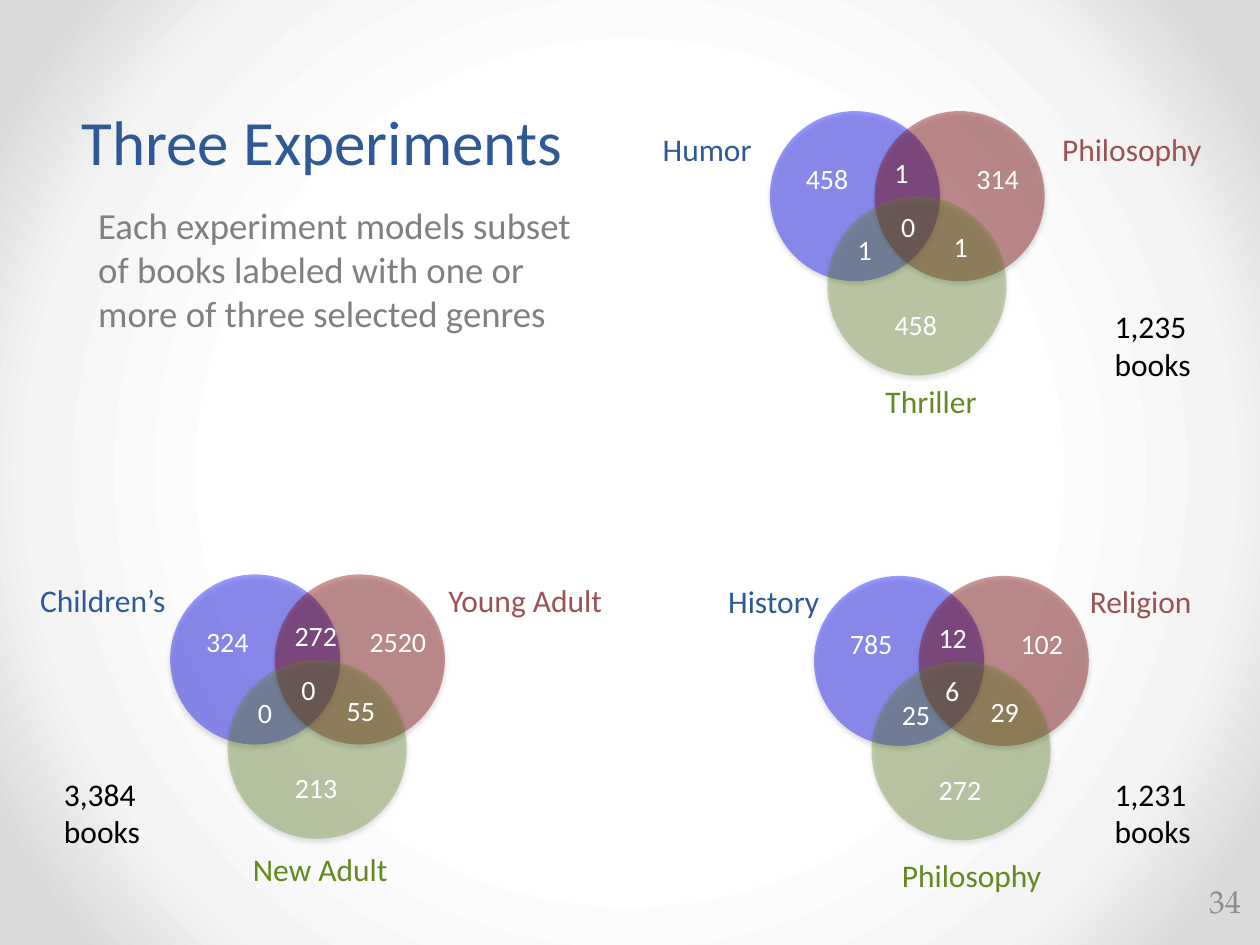
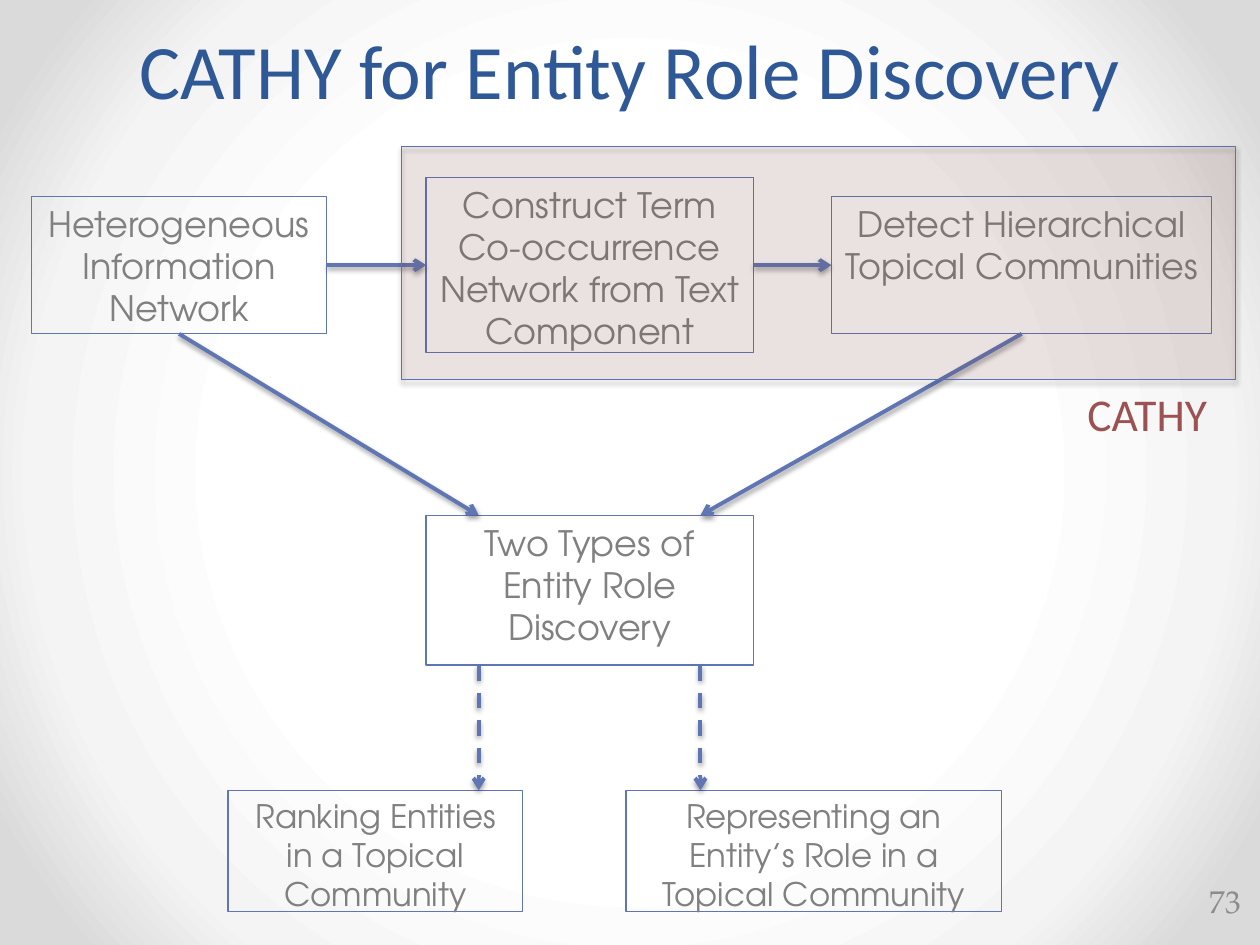
from dataclasses import dataclass

from lxml import etree
from pptx import Presentation
from pptx.dml.color import RGBColor
from pptx.enum.dml import MSO_LINE_DASH_STYLE as DASH
from pptx.enum.shapes import MSO_CONNECTOR, MSO_SHAPE
from pptx.enum.text import MSO_ANCHOR as ANCHOR
from pptx.enum.text import MSO_AUTO_SIZE as AUTO
from pptx.enum.text import PP_ALIGN as ALIGN
from pptx.oxml import parse_xml
from pptx.oxml.ns import nsdecls, qn
from pptx.util import Cm, Pt


@dataclass(frozen=True)
class Theme:
    blue: str = "2F5897"
    red: str = "9C5252"
    green: str = "63891F"
    gray: str = "808080"
    number_gray: str = "8C8C8C"
    white: str = "FFFFFF"
    black: str = "000000"
    outline: str = "6076B4"
    panel_outline: str = "5C72B2"
    venn_blue: str = "0000FF"
    venn_red: str = "800000"
    backdrop: tuple = ((50, "FFFFFF"), (76, "F4F4F4"), (92, "DADADA"))
    sans: str = "Calibri"
    box_font: str = "TeX Gyre Adventor"
    number_font: str = "TeX Gyre Pagella"
    title_size: float = 44
    small_title_size: float = 36
    title_leading: float = 58
    caption_size: float = 26
    body_size: float = 21
    box_size: float = 20
    small_box_size: float = 18.5
    label_size: float = 18
    count_size: float = 16


T = Theme()

CIRCLE, BOTTOM_CIRCLE = 3.43, 3.61
# Offset from the diagram's corner, and the share of the text box left of it
COUNT_SPOTS = {
    "left": (1.16, 1.36, 0.5),
    "right": (4.6, 1.36, 0.5),
    "bottom": (2.95, 4.3, 0.5),
    "left_bottom": (1.52, 2.79, 0),
    "left_right": (2.26, 1.24, 0),
    "right_bottom": (3.85, 2.74, 0.5),
    "all": (2.79, 2.32, 0.5),
}


def cms(*values):
    return [Cm(v) for v in values]


def rgb(color):
    return RGBColor.from_string(color)


def style_text(tf, text, size, color, font=T.sans, align=None):
    tf.text = text
    p = tf.paragraphs[0]
    p.alignment = align
    r = p.runs[0]
    r.font.size = Pt(size)
    r.font.name = font
    r.font.color.rgb = rgb(color)
    return p


def add_text(slide, text, box, size, color, wrap=True, **style):
    tf = slide.shapes.add_textbox(*cms(*box)).text_frame
    tf.word_wrap = wrap
    tf.auto_size = AUTO.SHAPE_TO_FIT_TEXT
    style_text(tf, text, size, color, **style)
    return tf


def add_shadow(sp, alpha, distance):
    """Give a shape or connector a soft shadow straight below it."""
    spPr = sp._element.spPr
    for old in spPr.findall(qn("a:effectLst")):
        spPr.remove(old)
    spPr.append(parse_xml(
        f'<a:effectLst {nsdecls("a")}>'
        f'<a:outerShdw blurRad="{Pt(3.1)}" dist="{Pt(distance)}" '
        f'dir="5400000" rotWithShape="0"><a:srgbClr val="{T.black}">'
        f'<a:alpha val="{alpha * 1000}"/></a:srgbClr>'
        '</a:outerShdw></a:effectLst>'))


def add_tinted(slide, kind, box, color, opacity):
    """Add a translucent shape with a shadow and no outline."""
    sp = slide.shapes.add_shape(kind, *cms(*box))
    sp.fill.solid()
    sp.fill.fore_color.rgb = rgb(color)
    clr = sp._element.spPr.find(".//" + qn("a:srgbClr"))
    etree.SubElement(clr, qn("a:alpha"), val=str(opacity * 1000))
    sp.line.fill.background()
    add_shadow(sp, 35, 1.8)
    return sp


def set_backdrop(master):
    master.background.fill.solid()
    bgPr = master._element.find(".//" + qn("p:bgPr"))
    stops = "".join(
        f'<a:gs pos="{pos * 1000}"><a:srgbClr val="{color}"/></a:gs>'
        for pos, color in T.backdrop)
    gradient = parse_xml(
        f'<a:gradFill {nsdecls("a")} rotWithShape="1"><a:gsLst>{stops}</a:gsLst>'
        '<a:path path="circle"><a:fillToRect l="50000" t="50000" r="50000" '
        'b="50000"/></a:path></a:gradFill>')
    bgPr.replace(bgPr[0], gradient)


def add_slide(prs, title, title_box, title_size, number):
    slide = prs.slides.add_slide(prs.slide_layouts[5])
    sp = slide.shapes.title
    sp.left, sp.top, sp.width, sp.height = cms(*title_box)
    tf = sp.text_frame
    tf.vertical_anchor = ANCHOR.BOTTOM
    tf.auto_size = AUTO.NONE
    p = style_text(tf, title, title_size, T.blue, align=ALIGN.CENTER)
    p.line_spacing = Pt(T.title_leading)
    tf = add_text(slide, number, (23.72, 17.65, 1.55, 1.02), T.label_size,
                  T.number_gray, font=T.number_font, align=ALIGN.RIGHT)
    tf.auto_size = AUTO.NONE
    tf.vertical_anchor = ANCHOR.MIDDLE
    return slide


def add_venn(slide, x, y, counts):
    circles = ((0, 0, CIRCLE, T.venn_blue, 39),
               (2.11, 0, CIRCLE, T.venn_red, 39),
               (1.16, 1.72, BOTTOM_CIRCLE, T.green, 33))
    for dx, dy, size, color, opacity in circles:
        add_tinted(slide, MSO_SHAPE.OVAL, (x + dx, y + dy, size, size),
                   color, opacity)
    height = 0.94
    for region, count in counts.items():
        dx, dy, share = COUNT_SPOTS[region]
        width = 0.5 + 0.29 * len(count)
        box = (x + dx - share * width, y + dy - height / 2, width, height)
        add_text(slide, count, box, T.count_size, T.white, wrap=False)


def add_genre_labels(slide, labels):
    for color, (text, x, y, width) in zip((T.blue, T.red, T.green), labels):
        add_text(slide, text, (x, y, width, 1.02), T.label_size, color)


def add_box(slide, text, box, size=T.box_size):
    sp = slide.shapes.add_shape(MSO_SHAPE.RECTANGLE, *cms(*box))
    sp.shadow.inherit = False
    sp.fill.background()
    sp.line.color.rgb = rgb(T.outline)
    sp.line.width = Pt(0.75)
    tf = sp.text_frame
    tf.word_wrap = True
    tf.vertical_anchor = ANCHOR.TOP
    p = style_text(tf, text, size, T.gray, T.box_font, ALIGN.CENTER)
    p.space_after = Pt(6)
    return sp


def add_arrow(slide, start=(0, 0), end=(0, 0), source=None, target=None,
              dashed=False):
    """Draw an arrow; source and target are (shape, side) joins."""
    line = slide.shapes.add_connector(MSO_CONNECTOR.STRAIGHT,
                                      *cms(*start, *end))
    if source:
        line.begin_connect(*source)
    if target:
        line.end_connect(*target)
    line.line.color.rgb = rgb(T.outline)
    line.line.width = Pt(2.25)
    if dashed:
        line.line.dash_style = DASH.DASH
    etree.SubElement(line.line._get_or_add_ln(), qn("a:tailEnd"), type="arrow")
    add_shadow(line, 38, 1.6)


def build_experiments(prs):
    slide = add_slide(prs, "Three Experiments", (1.27, 1.17, 10.44, 2.54),
                      T.small_title_size, "34")
    add_text(slide, "Each experiment models subset of books labeled with one "
             "or more of three selected genres", (1.73, 3.96, 10.46, 3.61),
             T.body_size, T.gray)
    experiments = (
        (15.52, 2.24, ("458", "314", "458", "1", "1", "1", "0"),
         (("Humor", 13.11, 2.49, 2.39), ("Philosophy", 21.16, 2.49, 3.35),
          ("Thriller", 17.6, 7.57, 3.35)),
         ("1,235 books", 22.22, 6.07)),
        (3.43, 11.58, ("324", "2520", "213", "0", "272", "55", "0"),
         (("Children’s", 0.56, 11.58, 3.35), ("Young Adult", 8.79, 11.58, 3.96),
          ("New Adult", 4.85, 17.02, 3.35)),
         ("3,384 books", 1.04, 15.49)),
        (16.41, 11.61, ("785", "102", "272", "25", "12", "29", "6"),
         (("History", 14.43, 11.61, 3.35), ("Religion", 21.72, 11.61, 3.35),
          ("Philosophy", 17.93, 17.14, 3.35)),
         ("1,231 books", 22.22, 15.49)),
    )
    for x, y, counts, labels, (total, total_x, total_y) in experiments:
        add_venn(slide, x, y, dict(zip(COUNT_SPOTS, counts)))
        add_genre_labels(slide, labels)
        add_text(slide, total, (total_x, total_y, 2.39, 1.8), T.label_size,
                 T.black)


def build_role_discovery(prs):
    slide = add_slide(prs, "CATHY for Entity Role Discovery",
                      (0, 0, 25.4, 2.44), T.title_size, "73")
    network = add_box(slide, "Heterogeneous Information Network",
                      (0.64, 3.96, 5.94, 2.77))
    construct = add_box(
        slide, "Construct Term Co-occurrence Network from Text Component",
        (8.59, 3.58, 6.6, 3.53))
    detect = add_box(slide, "Detect Hierarchical Topical Communities",
                     (16.76, 3.96, 7.67, 2.77))
    roles_top, roles_height, outcome_top = 10.39, 3.02, 15.93
    add_box(slide, "Two Types of Entity Role Discovery",
            (8.59, roles_top, 6.6, roles_height))
    add_box(slide, "Ranking Entities in a Topical Community",
            (4.6, outcome_top, 5.94, 2.44), T.small_box_size)
    add_box(slide, "Representing an Entity’s Role in a Topical Community",
            (12.62, outcome_top, 7.57, 2.44), T.small_box_size)

    add_arrow(slide, source=(network, 3), target=(construct, 1))
    add_arrow(slide, source=(construct, 3), target=(detect, 1))
    for origin, x in ((network, 9.65), (detect, 14.12)):
        add_arrow(slide, end=(x, roles_top), source=(origin, 2))
        add_arrow(slide, (x, roles_top + roles_height), (x, outcome_top),
                  dashed=True)

    panel = add_tinted(slide, MSO_SHAPE.RECTANGLE, (8.1, 2.95, 16.81, 4.7),
                       T.red, 12)
    panel.line.color.rgb = rgb(T.panel_outline)
    panel.line.width = Pt(0.75)
    add_text(slide, "CATHY", (21.67, 7.65, 3.45, 1.37), T.caption_size, T.red,
             wrap=False)


def main():
    prs = Presentation()
    prs.slide_width, prs.slide_height = cms(25.4, 19.05)
    set_backdrop(prs.slide_master)
    build_experiments(prs)
    build_role_discovery(prs)
    prs.save("out.pptx")


if __name__ == "__main__":
    main()
